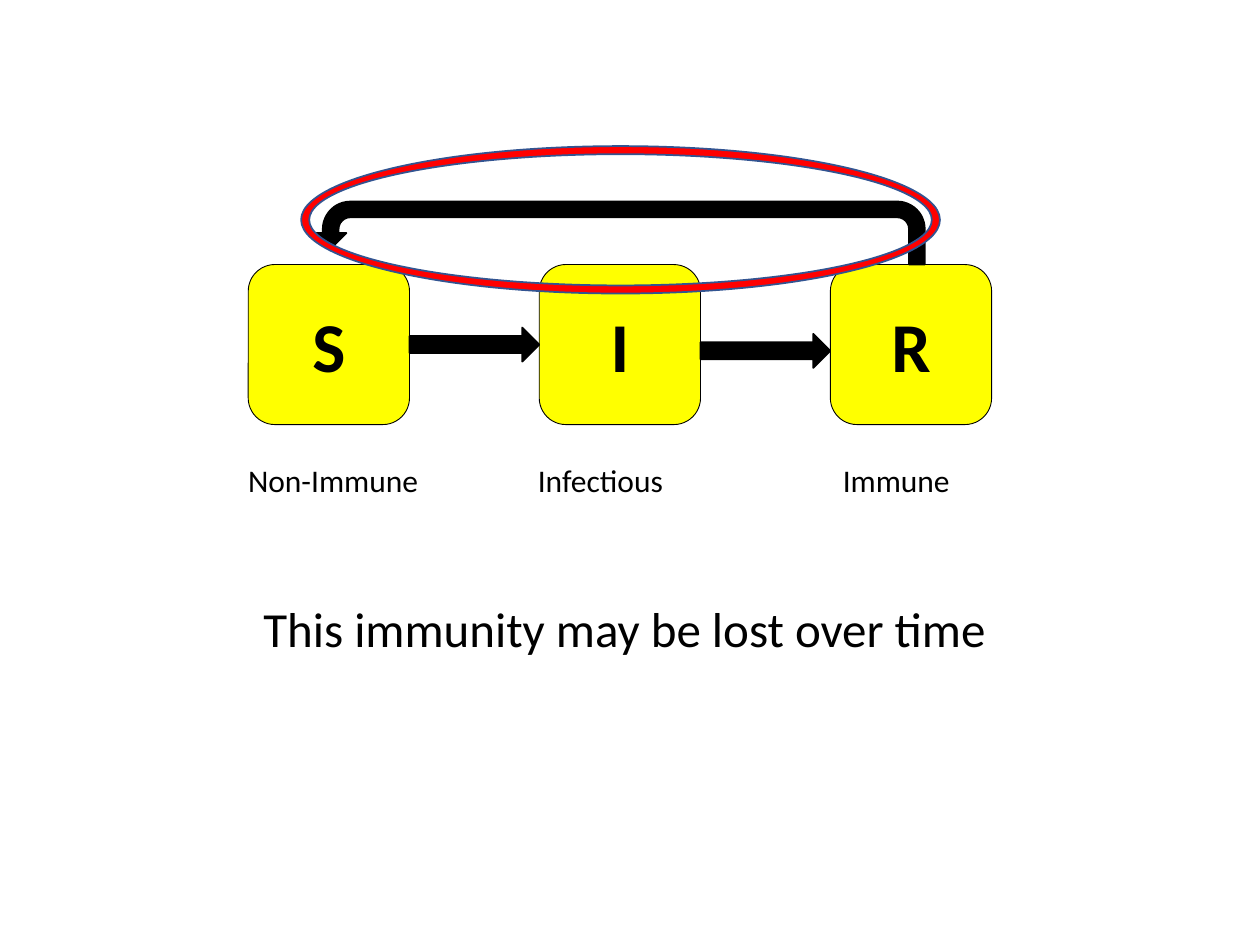
from pptx import Presentation
from pptx import util as u
from pptx.dml.color import RGBColor
from pptx.enum import shapes, text
from pptx.oxml.ns import qn

PX = 9144  # EMU per px, 100 px to the inch
FONT = "Calibri"
WHITE = RGBColor(0xFF, 0xFF, 0xFF)
BLACK = RGBColor(0, 0, 0)
YELLOW = RGBColor(0xFF, 0xFF, 0)
RED = RGBColor(0xFF, 0, 0)
BLUE = RGBColor(0x32, 0x54, 0x91)
KIND = shapes.MSO_SHAPE

COMPARTMENTS = [("S", "Non-Immune", -10), ("I", "Infectious", -11), ("R", "Immune", 0)]
SIDE, HEIGHT, STEP = 128, 127, 231


def to_emu(box):
    return [u.Emu(length * PX) for length in box]


def add_shape(slide, kind, box, fill, line, width=1):
    shape = slide.shapes.add_shape(kind, *to_emu(box))
    shape.shadow.inherit = False
    shape.fill.solid()
    shape.fill.fore_color.rgb = fill
    shape.line.color.rgb = line
    shape.line.width = u.Pt(width)
    return shape


def write(shape, words, size, align, bold=False):
    paragraph = shape.text_frame.paragraphs[0]
    paragraph.alignment = align
    run = paragraph.add_run()
    run.text = words
    run.font.name = FONT
    run.font.size = u.Pt(size)
    run.font.bold = bold
    run.font.color.rgb = BLACK
    return paragraph


def add_compartment(slide, left, top, letter, meaning, label_shift):
    square = add_shape(slide, KIND.ROUNDED_RECTANGLE, (left, top, SIDE, HEIGHT),
                       YELLOW, BLACK, 0.5)
    square.text_frame.vertical_anchor = text.MSO_ANCHOR.MIDDLE
    write(square, letter, 40, text.PP_ALIGN.CENTER, bold=True)
    label = slide.shapes.add_textbox(*to_emu((left + label_shift, top + 151, 162, 40)))
    label.text_frame.word_wrap = True
    write(label, meaning, 18, text.PP_ALIGN.LEFT)


def add_cycle(slide, left, top):
    """Three compartments, the arrows between them and the circled way back."""
    for index, (letter, meaning, label_shift) in enumerate(COMPARTMENTS):
        add_compartment(slide, left + index * STEP, top, letter, meaning, label_shift)
    for index, drop in enumerate((50, 55)):
        add_shape(slide, KIND.RIGHT_ARROW,
                  (left + SIDE + index * STEP, top + drop, STEP - SIDE, 27), BLACK, BLACK)
    way_back = add_shape(slide, KIND.U_TURN_ARROW, (left + 53, top - 50, 484, 50), BLACK, BLACK)
    way_back.element.spPr.find(qn("a:xfrm")).set("flipH", "1")
    ring = add_shape(slide, KIND.DONUT, (left + 42, top - 94, 507, 117), RED, BLUE)
    ring.adjustments[0] = 0.055


def add_statement(slide, box):
    statement = add_shape(slide, KIND.RECTANGLE, box, WHITE, WHITE)
    statement.text_frame.word_wrap = True
    statement.text_frame.vertical_anchor = text.MSO_ANCHOR.TOP
    paragraph = write(statement, "This immunity may be lost over time", 28,
                      text.PP_ALIGN.CENTER)
    paragraph.line_spacing = 0.9


def main():
    deck = Presentation()
    deck.slide_width, deck.slide_height = to_emu((1000, 750))
    slide = deck.slides.add_slide(deck.slide_layouts[6])
    add_shape(slide, KIND.RECTANGLE, (60, 98, 871, 350), WHITE, WHITE)
    add_statement(slide, (123, 475, 745, 106))
    add_cycle(slide, 197, 210)
    deck.save("out.pptx")


if __name__ == "__main__":
    main()
